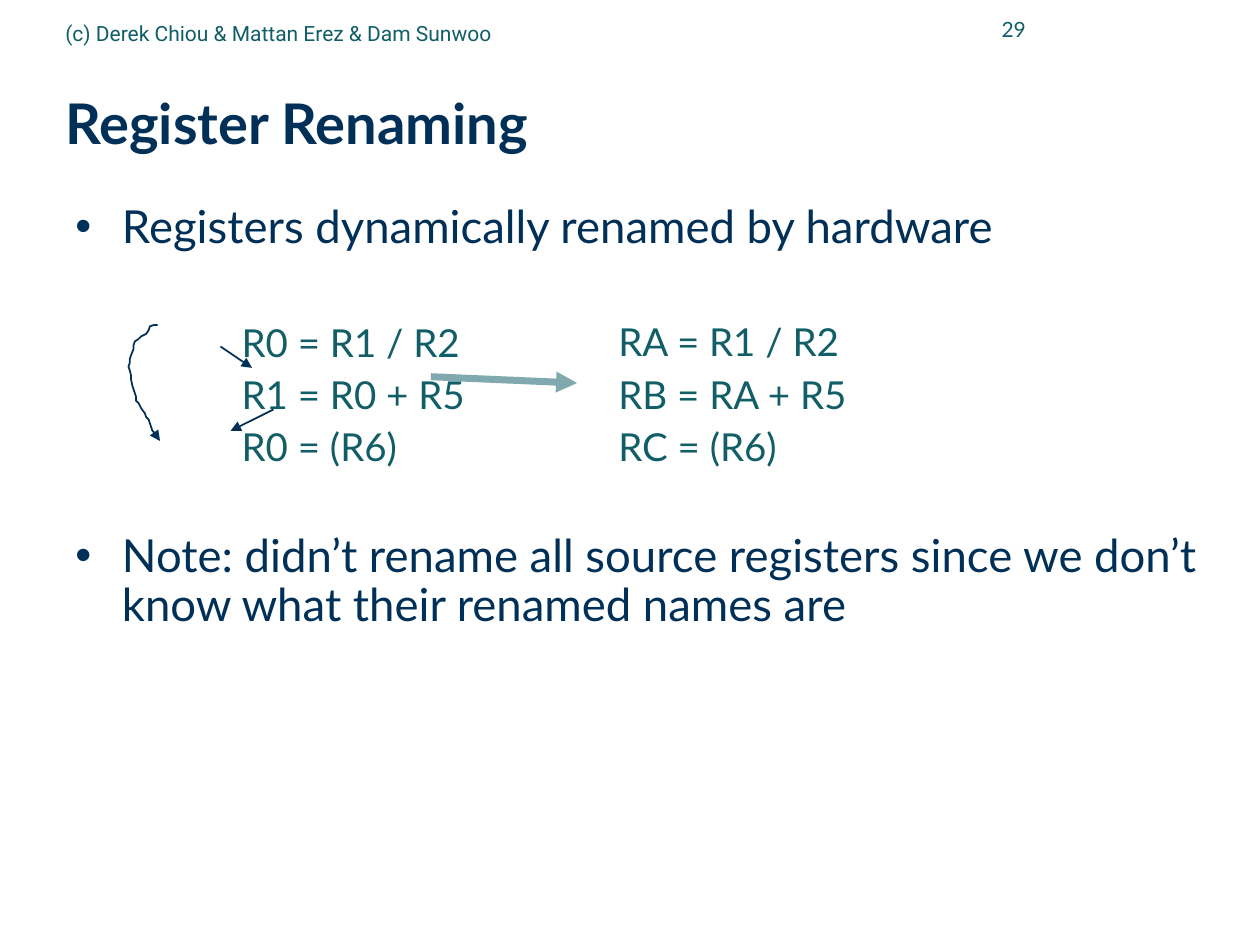
from dataclasses import dataclass
from typing import NamedTuple

from lxml.etree import SubElement
from pptx import Presentation
from pptx.dml.color import RGBColor as RGB
from pptx.enum.shapes import MSO_CONNECTOR as Connector
from pptx.enum.text import MSO_ANCHOR as Anchor, PP_ALIGN as Align
from pptx.oxml.ns import qn
from pptx.util import Inches, Pt


@dataclass(frozen=True)
class Theme:
    navy: RGB = RGB(0x00, 0x30, 0x57)
    teal: RGB = RGB(0x11, 0x5E, 0x67)
    pale_teal: RGB = RGB(0x7F, 0xA9, 0xAE)
    font: str = "Lato"
    footer_font: str = "Roboto"
    title_size: int = 32
    bullet_size: int = 26
    code_size: int = 22
    small_size: int = 12


class Box(NamedTuple):
    left: float
    top: float
    width: float
    height: float


class Arrow(NamedTuple):
    start: tuple[float, float]
    end: tuple[float, float]
    color: RGB
    width: float


T = Theme()
BULLET_INDENT = 0.37
CODE_INDENT = 1.32
CODE_GAP = 6
BULLETS = [
    "Registers dynamically renamed by hardware",
    "Note: didn’t rename all source registers since we don’t "
    "know what their renamed names are",
]
CODE = ["R0 = R1 / R2", "R1 = R0 + R5", "R0 = (R6)"]
RENAMED_CODE = ["RA = R1 / R2", "RB = RA + R5", "RC = (R6)"]
ARROWS = [
    Arrow((1.75, 2.75), (2, 2.92), T.navy, 1),
    Arrow((2.17, 3.25), (1.83, 3.42), T.navy, 1),
]
RENAME_ARROW = Arrow((3.42, 2.99), (4.58, 3.04), T.pale_teal, 4)
REUSE_CURVE = [
    (1.25, 2.58), (1.22, 2.58), (1.19, 2.59), (1.18, 2.62), (1.16, 2.65),
    (1.12, 2.67), (1.1, 2.69), (1.07, 2.71), (1.06, 2.74), (1.06, 2.77),
    (1.04, 2.82), (1.03, 2.85), (1.03, 2.88), (1.02, 2.91), (1.03, 2.94),
    (1.04, 2.98), (1.04, 3.01), (1.05, 3.06), (1.07, 3.12), (1.08, 3.15),
    (1.08, 3.18), (1.1, 3.2), (1.12, 3.24), (1.15, 3.28), (1.16, 3.31),
    (1.18, 3.33), (1.2, 3.39), (1.21, 3.42), (1.23, 3.44), (1.27, 3.5),
]


def add_box(s, box: Box, anchor=Anchor.TOP):
    tf = s.shapes.add_textbox(*map(Inches, box)).text_frame
    tf.word_wrap = True
    tf.vertical_anchor = anchor
    return tf


def add_run(p, text: str, size: int, color: RGB, font: str = T.font, bold: bool = False):
    r = p.add_run()
    r.text = text
    r.font.size, r.font.name, r.font.bold = Pt(size), font, bold
    r.font.color.rgb = color


def set_layout(p, before: float, margin: float, first_line: float = 0):
    """Set spacing and indents, and return the paragraph properties."""
    p.line_spacing, p.space_before = 0.9, Pt(before)
    pPr = p._p.get_or_add_pPr()
    pPr.set("marL", str(Inches(margin)))
    pPr.set("indent", str(Inches(first_line)))
    return pPr


def add_bullet(p, text: str, before: float):
    pPr = set_layout(p, before, BULLET_INDENT, -BULLET_INDENT)
    SubElement(pPr, qn("a:buFont"), typeface="Arial")
    SubElement(pPr, qn("a:buChar"), char="•")
    add_run(p, text, T.bullet_size, T.navy)


def add_code(p, text: str, before: float, margin: float = 0):
    set_layout(p, before, margin)
    add_run(p, text, T.code_size, T.teal)


def style_line(shape, color: RGB, width: float):
    """Colour the line and put an arrowhead at its end."""
    shape.line.color.rgb = color
    shape.line.width = Pt(width)
    SubElement(shape.line._get_or_add_ln(), qn("a:tailEnd"), type="triangle")


def add_arrow(s, arrow: Arrow):
    c = s.shapes.add_connector(
        Connector.STRAIGHT, *map(Inches, arrow.start + arrow.end))
    style_line(c, arrow.color, arrow.width)
    SubElement(c._element.spPr, qn("a:effectLst"))


def add_curve(s, points: list[tuple[float, float]]):
    start, *rest = [(Inches(x), Inches(y)) for x, y in points]
    builder = s.shapes.build_freeform(*start)
    builder.add_line_segments(rest, close=False)
    sp = builder.convert_to_shape()
    sp.fill.background()
    style_line(sp, T.navy, 1)
    sp.shadow.inherit = False


def add_body(s):
    tf = add_box(s, Box(0.5, 1.57, 9.33, 5.91))
    add_bullet(tf.paragraphs[0], BULLETS[0], 6.5)
    for i, line in enumerate(CODE):
        add_code(tf.add_paragraph(), line, CODE_GAP if i else 40.6, CODE_INDENT)
    add_bullet(tf.add_paragraph(), BULLETS[1], 36.3)


def add_renamed_code(s):
    tf = add_box(s, Box(4.81, 2.52, 2.5, 1.3))
    for i, line in enumerate(RENAMED_CODE):
        p = tf.add_paragraph() if i else tf.paragraphs[0]
        add_code(p, line, CODE_GAP if i else 0)


def main():
    prs = Presentation()
    prs.slide_width, prs.slide_height = Inches(10), Inches(7.5)
    s = prs.slides.add_slide(prs.slide_layouts[6])

    title = add_box(s, Box(0.42, 0.5, 9.41, 0.98), Anchor.MIDDLE).paragraphs[0]
    title.line_spacing = 0.99
    add_run(title, "Register Renaming", T.title_size, T.navy, bold=True)
    add_body(s)
    add_renamed_code(s)

    number = add_box(s, Box(7.33, -0.02, 0.91, 0.5), Anchor.MIDDLE).paragraphs[0]
    number.alignment = Align.RIGHT
    add_run(number, "29", T.small_size, T.teal)
    credit = add_box(s, Box(0.42, 0.03, 5.67, 0.46), Anchor.MIDDLE).paragraphs[0]
    add_run(credit, "(c) Derek Chiou & Mattan Erez & Dam Sunwoo",
            T.small_size, T.teal, T.footer_font)

    for arrow in ARROWS:
        add_arrow(s, arrow)
    add_curve(s, REUSE_CURVE)
    add_arrow(s, RENAME_ARROW)
    prs.save("out.pptx")


if __name__ == "__main__":
    main()
